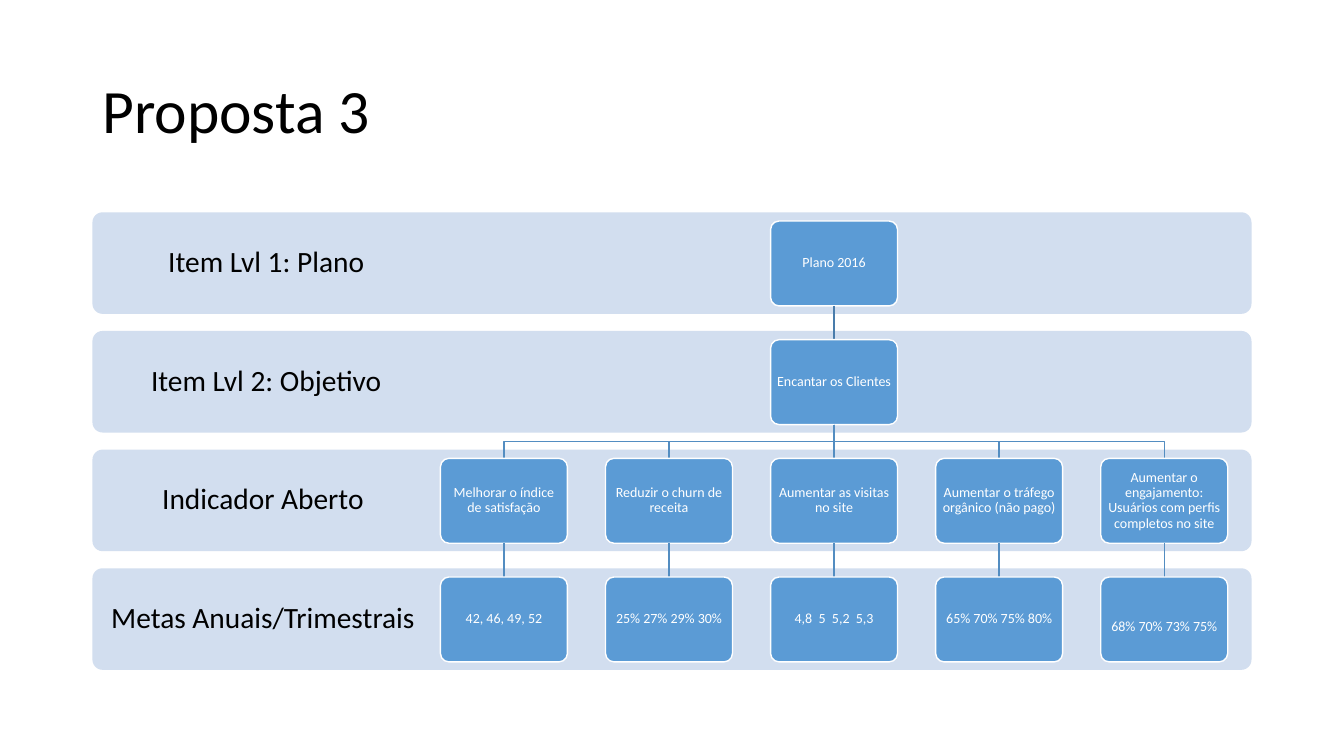
"""Build the "Proposta 3" slide: a plan hierarchy laid over four labelled bands."""
import pptx
import pptx.dml.color
import pptx.enum.shapes
import pptx.enum.text
import pptx.oxml
import pptx.oxml.ns
import pptx.util
from pptx.util import Cm

RGBColor = pptx.dml.color.RGBColor
BLACK = RGBColor(0x00, 0x00, 0x00)
WHITE = RGBColor(0xFF, 0xFF, 0xFF)
BAND_BLUE = RGBColor(0xD2, 0xDE, 0xEF)
CARD_BLUE = RGBColor(0x5B, 0x9B, 0xD5)
ROOT_LINK = RGBColor(0x49, 0x7C, 0xAB)
LINK_BLUE = RGBColor(0x53, 0x8D, 0xC1)

ALIGN = pptx.enum.text.PP_ALIGN
ROUNDED = pptx.enum.shapes.MSO_SHAPE.ROUNDED_RECTANGLE
STRAIGHT = pptx.enum.shapes.MSO_CONNECTOR.STRAIGHT

BAND_LABELS = ["Item Lvl 1: Plano", "Item Lvl 2: Objetivo",
               "Indicador Aberto ", "Metas Anuais/Trimestrais "]
PLAN = "Plano 2016"
OBJECTIVE = "Encantar os Clientes"
INDICATORS = [
    ("Melhorar o índice de satisfação", "42, 46, 49, 52"),
    ("Reduzir o churn de receita", "25% 27% 29% 30%"),
    ("Aumentar as visitas no site", "4,8  5  5,2  5,3"),
    ("Aumentar o tráfego orgânico (não pago)", "65% 70% 75% 80%"),
    ("Aumentar o engajamento: Usuários com perfis completos no site",
     "68% 70% 73% 75%"),
]

ROW_STEP = Cm(2.99)
BAND_HEIGHT = Cm(2.56)
LABEL_WIDTH = Cm(8.76)
CARD_WIDTH, CARD_HEIGHT = Cm(3.2), Cm(2.14)
CARD_STEP = Cm(4.16)
LOWERED_INSET = Cm(0.5)


def write(shape, text, size, color=BLACK, align=ALIGN.CENTER, inset=Cm(0.1), top=None):
    """Write one paragraph, vertically centred, into the shape."""
    frame = shape.text_frame
    frame.word_wrap = True
    frame.vertical_anchor = pptx.enum.text.MSO_ANCHOR.MIDDLE
    frame.margin_left = frame.margin_right = frame.margin_bottom = inset
    frame.margin_top = inset if top is None else top
    para = frame.paragraphs[0]
    para.alignment = align
    para.line_spacing = 0.9
    span = para.add_run()
    span.text = text
    span.font.name = "Calibri"
    span.font.size = pptx.util.Pt(size)
    span.font.color.rgb = color


def rounded(page, box, fill, line=None):
    """Add a rounded rectangle with a flat fill and an optional outline."""
    shape = page.shapes.add_shape(ROUNDED, *box)
    shape.adjustments[0] = 0.1
    shape.shadow.inherit = False
    shape.fill.solid()
    shape.fill.fore_color.rgb = fill
    if line is None:
        shape.line.fill.background()
    else:
        shape.line.color.rgb = line
        shape.line.width = pptx.util.Pt(1)
    return shape


def link(page, start, end, color=LINK_BLUE):
    """Join two points, turning halfway down when they are not aligned."""
    (start_x, start_y), (end_x, end_y) = start, end
    if start_x == end_x:
        joint = page.shapes.add_connector(STRAIGHT, start_x, start_y, end_x, end_y)
        joint._element.spPr.append(pptx.oxml.parse_xml(
            "<a:effectLst %s/>" % pptx.oxml.ns.nsdecls("a")))
    else:
        middle = (start_y + end_y) // 2
        builder = page.shapes.build_freeform(start_x, start_y)
        builder.add_line_segments([(start_x, middle), (end_x, middle), end], close=False)
        joint = builder.convert_to_shape()
        joint.fill.background()
        joint.shadow.inherit = False
    joint.line.color.rgb = color
    joint.line.width = pptx.util.Pt(1)


def add_title(page, box):
    """Place the slide title."""
    write(page.shapes.add_textbox(*box), "Proposta 3", 44, align=ALIGN.LEFT, inset=Cm(0.25))


def add_bands(page, box):
    """Stack the labelled level bands."""
    left, top, width, _ = box
    for row, label in enumerate(BAND_LABELS):
        band_top = top + row * ROW_STEP
        rounded(page, (left, band_top, width, BAND_HEIGHT), BAND_BLUE)
        label_box = page.shapes.add_textbox(left, band_top, LABEL_WIDTH, BAND_HEIGHT)
        write(label_box, label, 21, inset=Cm(0.4))


def add_tree(page, box):
    """Place the hierarchy of plan, objective, indicators and targets."""
    left, top, _, _ = box

    def card(column, row, text, inset_top=None):
        """Add one card at a grid position."""
        place = (left + column * CARD_STEP, top + row * ROW_STEP, CARD_WIDTH, CARD_HEIGHT)
        write(rounded(page, place, CARD_BLUE, WHITE), text, 10, WHITE, top=inset_top)

    def branch(parent, child, row, color=LINK_BLUE):
        """Link a card in one row to a card in the next."""
        start_x, end_x = (left + column * CARD_STEP + CARD_WIDTH // 2
                          for column in (parent, child))
        row_top = top + row * ROW_STEP
        link(page, (start_x, row_top + CARD_HEIGHT), (end_x, row_top + ROW_STEP), color)

    centre = len(INDICATORS) // 2
    last = len(INDICATORS) - 1
    card(centre, 0, PLAN)
    branch(centre, centre, 0, ROOT_LINK)
    card(centre, 1, OBJECTIVE)
    for column, (indicator, target) in enumerate(INDICATORS):
        branch(centre, column, 1)
        card(column, 2, indicator)
        branch(column, column, 2)
        card(column, 3, target, LOWERED_INSET if column == last else None)


def main():
    """Assemble and save the deck."""
    deck = pptx.Presentation()
    deck.slide_width, deck.slide_height = Cm(33.87), Cm(19.05)
    page = deck.slides.add_slide(deck.slide_layouts[6])
    add_title(page, (Cm(2.33), Cm(1.01), Cm(29.21), Cm(3.68)))
    add_bands(page, (Cm(2.33), Cm(5.35), Cm(29.21), Cm(11.53)))
    add_tree(page, (Cm(11.1), Cm(5.57), Cm(19.84), Cm(11.11)))
    deck.save("out.pptx")


main()
